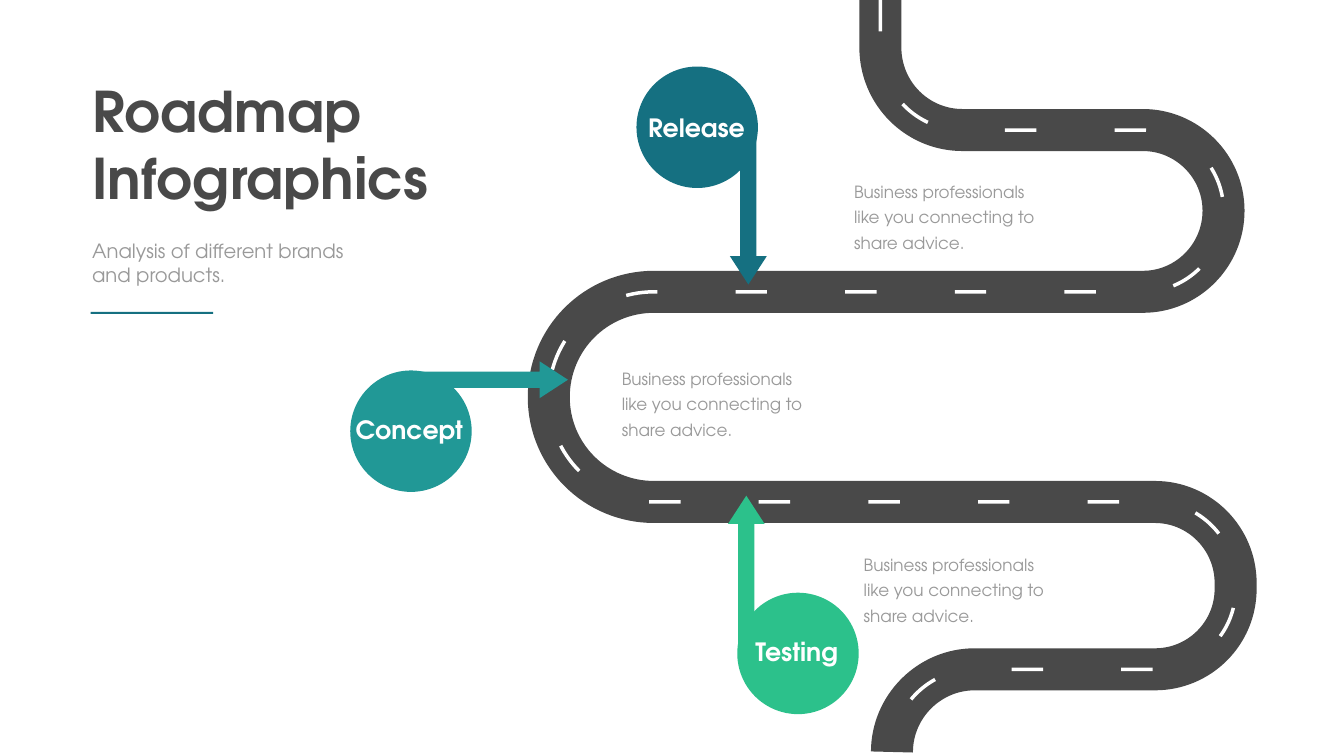
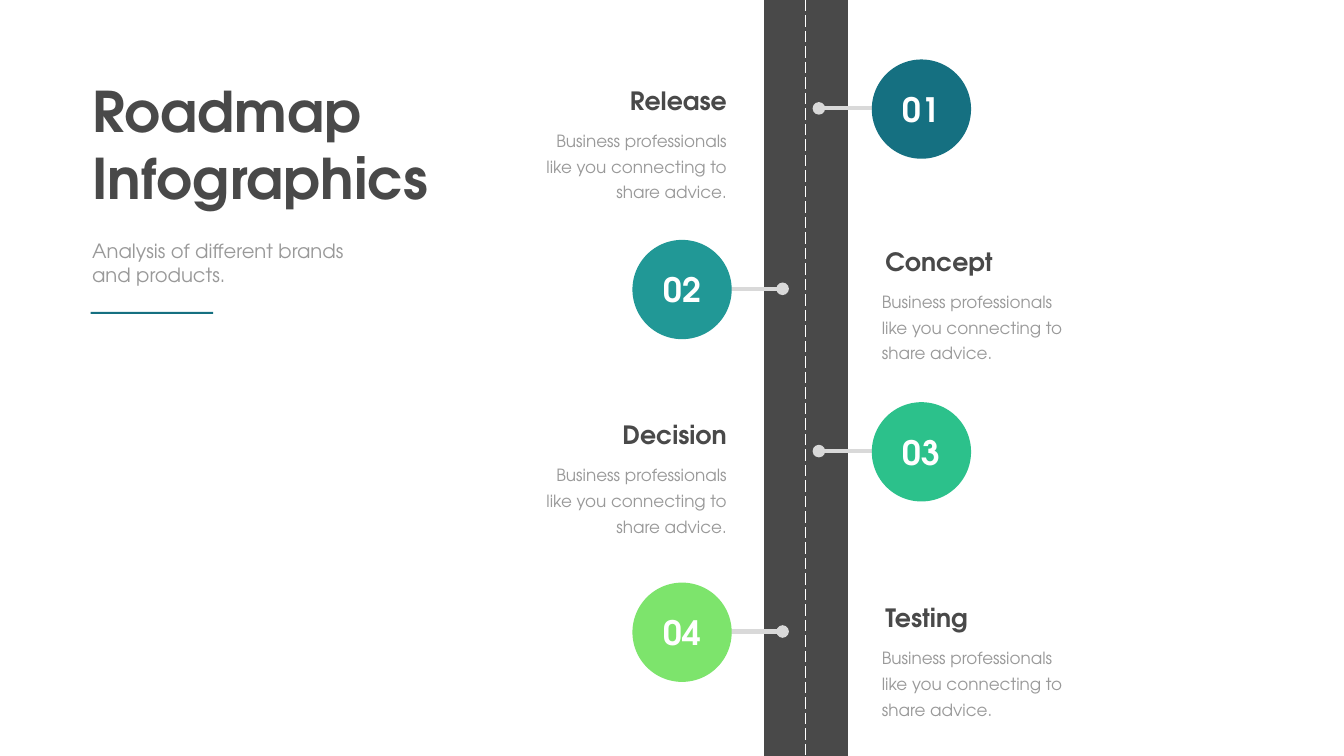
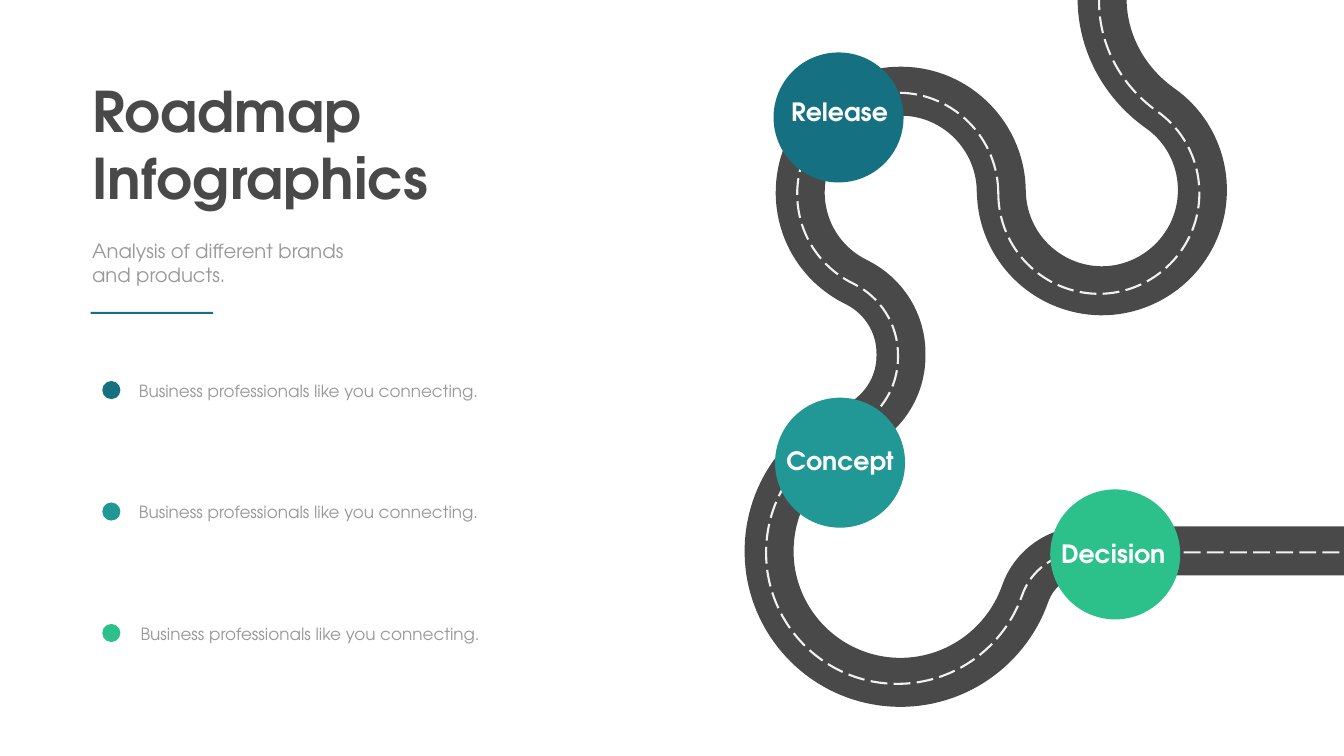
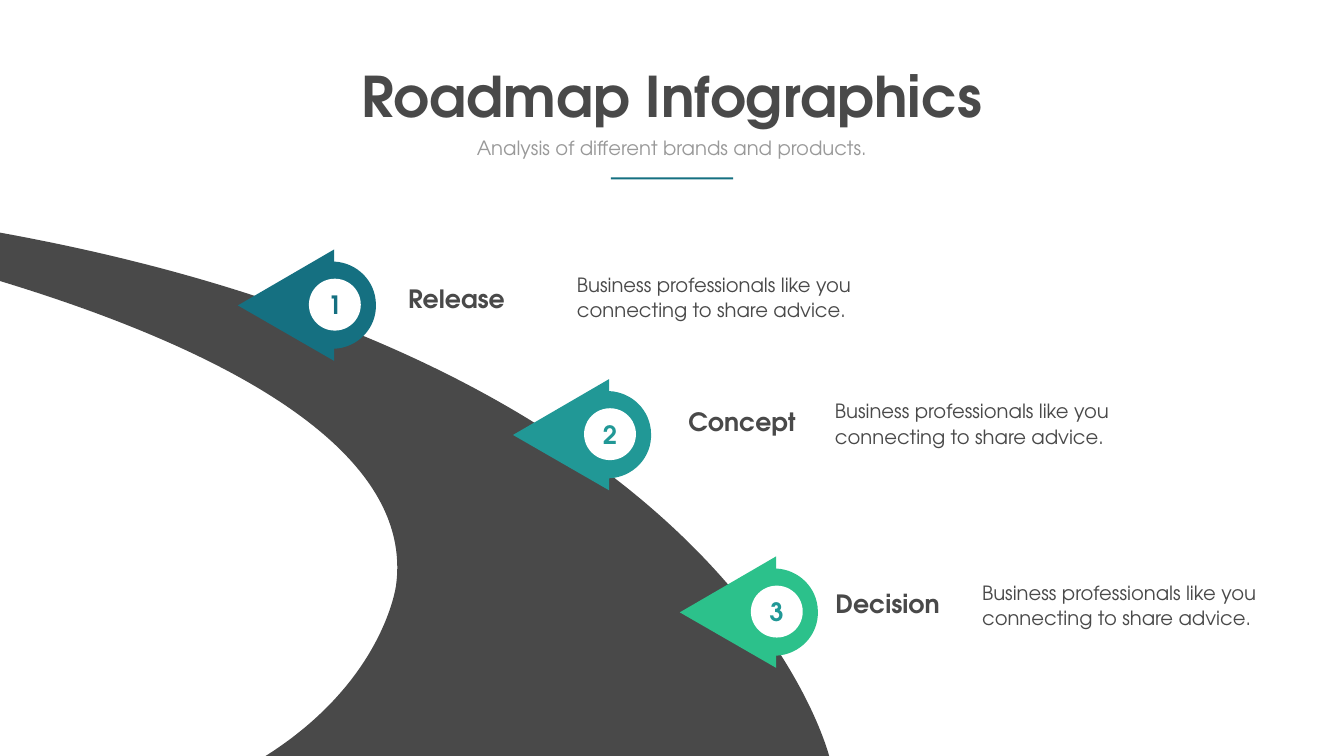
import lxml.etree
import pptx
import pptx.dml.color
import pptx.enum.dml
import pptx.enum.shapes
import pptx.enum.text
import pptx.oxml.ns
import pptx.util

Inches = pptx.util.Inches
Pt = pptx.util.Pt
qn = pptx.oxml.ns.qn
SHAPE = pptx.enum.shapes.MSO_SHAPE
ALIGN = pptx.enum.text.PP_ALIGN
LONG_DASH = pptx.enum.dml.MSO_LINE.LONG_DASH

FONT = "TeX Gyre Adventor"
COLORS = {
    "asphalt": "494949",
    "gray": "999999",
    "pale": "D9D9D9",
    "marking": "F2F2F2",
    "white": "FFFFFF",
    "blue": "157081",
    "teal": "219896",
    "green": "2CC18B",
    "lime": "7DE46C",
}
ADVICE = "Business professionals like you connecting to share advice."
SUBTITLE = "Analysis of different brands and products."

# Outlines: a start point, then lines (x, y) and cubic curves (two controls and an end).
SERPENTINE = [
    (17.47, 0), (17.47, 0.94), (17.47, 1.85, 18.2, 2.58, 19.1, 2.58),
    (22.68, 2.58), (23.56, 2.58, 24.28, 3.3, 24.28, 4.18),
    (24.28, 5.07, 23.56, 5.79, 22.68, 5.79),
    (12.98, 5.79), (11.82, 5.79, 10.89, 6.72, 10.89, 7.88),
    (10.89, 9.03, 11.82, 9.96, 12.98, 9.96),
    (22.92, 9.96), (23.8, 9.96, 24.52, 10.68, 24.52, 11.57),
    (24.52, 11.68), (24.52, 12.57, 23.8, 13.28, 22.92, 13.28),
    (19.34, 13.28), (18.44, 13.28, 17.7, 14.02, 17.7, 14.92),
]
UPPER_BEND = [
    (19.87, 3.77), (19.87, 4.87, 20.75, 5.75, 21.84, 5.77),
    (22.96, 5.78, 23.88, 4.86, 23.86, 3.74),
    (23.85, 3.08, 23.52, 2.49, 23.01, 2.14),
    (22.3, 1.63, 21.87, 0.83, 21.87, -0.03), (21.87, -0.07),
]
LOWER_BEND = [
    (19.87, 3.81), (19.87, 2.72, 18.99, 1.82, 17.9, 1.81),
    (16.78, 1.79, 15.87, 2.72, 15.88, 3.84),
    (15.89, 4.62, 16.34, 5.28, 17, 5.6),
    (17.54, 5.87, 17.88, 6.41, 17.88, 7.01), (17.88, 7.06),
    (17.88, 7.7, 17.49, 8.27, 16.9, 8.51),
    (15.83, 8.94, 15.11, 10.06, 15.29, 11.32),
    (15.46, 12.45, 16.35, 13.34, 17.48, 13.51),
    (18.78, 13.7, 19.94, 12.92, 20.34, 11.79),
    (20.52, 11.27, 21, 10.93, 21.55, 10.93), (26.68, 10.93),
]
HIGHWAY = [
    (16.47, 15.06), (16.47, 15.06, 14.18, 5.13, -6.36, 3.87),
    (-6.36, 4.11), (-6.36, 4.11, 8.56, 6.38, 7.86, 11.61),
    (7.86, 11.61, 7.63, 13.51, 5.27, 15),
]
# The marker's tip is its origin.
MARKER = [
    (0, 0), (1.91, -1.11), (1.91, -0.87),
    (2.36, -0.85, 2.73, -0.49, 2.74, -0.03),
    (2.76, 0.45, 2.38, 0.84, 1.91, 0.86), (1.91, 1.1),
]


def rgb(color):
    return pptx.dml.color.RGBColor.from_string(COLORS[color])


def paint(shape, fill=None, line=None, width=0):
    shape.shadow.inherit = False
    if fill:
        shape.fill.solid()
        shape.fill.fore_color.rgb = rgb(fill)
    else:
        shape.fill.background()
    if line:
        shape.line.color.rgb = rgb(line)
        shape.line.width = Pt(width)
    else:
        shape.line.fill.background()


def line_element(shape, tag, **attributes):
    """Append a drawing element to the shape's outline."""
    return lxml.etree.SubElement(shape.element.spPr.find(qn("a:ln")), qn(tag), attributes)


def write(shape, lines, size, color, bold=False, align=ALIGN.LEFT, spacing=None):
    frame = shape.text_frame
    for index, line in enumerate(lines):
        paragraph = frame.add_paragraph() if index else frame.paragraphs[0]
        paragraph.alignment = align
        if spacing:
            paragraph.line_spacing = Pt(spacing)
        run = paragraph.add_run()
        run.text = line
        run.font.name = FONT
        run.font.size = Pt(size)
        run.font.bold = bold
        run.font.color.rgb = rgb(color)


def add_text(slide, text, left, top, width, height, size, color, **style):
    box = slide.shapes.add_textbox(*map(Inches, (left, top, width, height)))
    box.text_frame.word_wrap = True
    box.text_frame.auto_size = pptx.enum.text.MSO_AUTO_SIZE.SHAPE_TO_FIT_TEXT
    write(box, [text], size, color, **style)


def add_label(slide, text, left, top, color="asphalt", align=ALIGN.LEFT):
    add_text(slide, text, left, top, 2.86, 0.71, 36, color, bold=True, align=align)


def add_advice(slide, left, top, align=ALIGN.LEFT):
    add_text(slide, ADVICE, left, top, 3.96, 1.6, 24, "gray", align=align, spacing=36.6)


def add_preset(slide, kind, left, top, width, height, fill):
    shape = slide.shapes.add_shape(kind, *map(Inches, (left, top, width, height)))
    paint(shape, fill)
    return shape


def add_circle(slide, left, top, diameter, fill):
    return add_preset(slide, SHAPE.OVAL, left, top, diameter, diameter, fill)


def add_number(slide, text, left, top, diameter, fill, size, color):
    circle = add_circle(slide, left, top, diameter, fill)
    frame = circle.text_frame
    frame.word_wrap = False
    frame.vertical_anchor = pptx.enum.text.MSO_ANCHOR.MIDDLE
    write(circle, [text], size, color, bold=True, align=ALIGN.CENTER)


def add_outline(slide, outline, shift=(0, 0), close=False):
    """Build a freeform through every point, then bend its curved segments."""
    points = [(Inches(x + shift[0]), Inches(y + shift[1]))
              for segment in outline for x, y in zip(segment[::2], segment[1::2])]
    builder = slide.shapes.build_freeform(*points[0])
    builder.add_line_segments(points[1:], close=close)
    shape = builder.convert_to_shape()
    geometry = shape.element.find(".//" + qn("a:path"))
    steps = iter(geometry.findall(qn("a:lnTo")))
    for segment in outline[1:]:
        parts = [next(steps) for _ in segment[::2]]
        if len(parts) == 3:
            curve = lxml.etree.SubElement(geometry, qn("a:cubicBezTo"))
            parts[0].addprevious(curve)
            for part in parts:
                curve.append(part[0])
                geometry.remove(part)
    return shape


def add_road(slide, outline, color, width, shift=(0, 0)):
    road = add_outline(slide, outline, shift)
    paint(road, line=color, width=width)
    return road


def add_line(slide, start, end, color, width):
    line = slide.shapes.add_connector(
        pptx.enum.shapes.MSO_CONNECTOR.STRAIGHT, *map(Inches, start + end))
    line.line.color.rgb = rgb(color)
    line.line.width = Pt(width)
    lxml.etree.SubElement(line.element.spPr, qn("a:effectLst"))
    return line


def add_slide(presentation, centered=False):
    """Add a slide with its title, subtitle and accent rule."""
    slide = presentation.slides.add_slide(presentation.slide_layouts[5])
    if centered:
        lines, align = ["Roadmap Infographics"], ALIGN.CENTER
        title_box, subtitle_box = (7, 1.17, 12.66, 1.45), (8.55, 2.65, 9.56, 0.57)
        rule_left, rule_top = 12.12, 3.52
    else:
        lines, align = ["Roadmap", "Infographics"], ALIGN.LEFT
        title_box, subtitle_box = (1.73, 1.47, 7.1, 2.79), (1.73, 4.7, 5.34, 1.04)
        rule_left, rule_top = 1.8, 6.19
    title = slide.shapes.title
    title.left, title.top, title.width, title.height = map(Inches, title_box)
    title.text_frame.word_wrap = not centered
    title.text_frame.auto_size = pptx.enum.text.MSO_AUTO_SIZE.SHAPE_TO_FIT_TEXT
    title.text_frame.vertical_anchor = pptx.enum.text.MSO_ANCHOR.TOP
    write(title, lines, 80, "asphalt", bold=True, align=align)
    for paragraph in title.text_frame.paragraphs:
        paragraph.space_before = Pt(0)
    add_text(slide, SUBTITLE, *subtitle_box, 28, "gray", align=align)
    add_preset(slide, SHAPE.RECTANGLE, rule_left, rule_top, 2.43, 0.04, "blue")
    return slide


def add_pin(slide, label, color, arrow_at, rotation, circle_at, label_at):
    arrow = add_preset(slide, SHAPE.RIGHT_ARROW, *arrow_at, 3.12, 0.73, color)
    arrow.rotation = rotation
    arrow.adjustments[0], arrow.adjustments[1] = 0.442, 0.769
    add_circle(slide, *circle_at, 2.41, color)
    add_label(slide, label, *label_at, "white", ALIGN.CENTER)


def build_serpentine(presentation):
    slide = add_slide(presentation)
    add_road(slide, SERPENTINE, "asphalt", 60)
    marking = add_road(slide, SERPENTINE, "white", 5)
    dashes = line_element(marking, "a:custDash")
    lxml.etree.SubElement(dashes, qn("a:ds"), d="900000", sp="2240000")
    for pin in (
        ("Release", "blue", (13.29, 3.72), 90, (12.63, 1.32), (12.39, 2.18)),
        ("Concept", "teal", (8.15, 7.17), 0, (6.95, 7.35), (6.69, 8.17)),
        ("Testing", "green", (13.25, 11.03), 270, (14.63, 11.76), (14.38, 12.57)),
    ):
        add_pin(slide, *pin)
    for left, top in ((16.85, 3.44), (17.04, 10.84), (12.24, 7.15)):
        add_advice(slide, left, top)


def build_straight_road(presentation):
    slide = add_slide(presentation)
    add_line(slide, (15.99, 0), (15.99, 15), "asphalt", 120)
    add_line(slide, (15.99, 0), (15.99, 15), "white", 2).line.dash_style = LONG_DASH
    stops = (
        ("Release", "blue", 1.18, 1.64),
        ("Concept", "teal", 4.76, 4.83),
        ("Decision", "green", 7.98, 8.27),
        ("Testing", "lime", 11.56, 11.9),
    )
    for number, (label, color, circle_top, label_top) in enumerate(stops, 1):
        if number % 2:
            circle_left, line_start, line_end = 17.3, 17.7, 16.25
            label_left, advice_left, align = 11.66, 10.56, ALIGN.RIGHT
        else:
            circle_left, line_start, line_end = 12.55, 13.54, 15.53
            label_left, advice_left, align = 17.47, 17.4, ALIGN.LEFT
        middle = circle_top + 0.97
        line = add_line(slide, (line_start, middle), (line_end, middle), "pale", 6)
        line_element(line, "a:tailEnd", type="oval")
        add_number(slide, f"{number:02}", circle_left, circle_top, 1.97, color, 48, "white")
        add_label(slide, label, label_left, label_top, align=align)
        add_advice(slide, advice_left, label_top + 0.8, align)


def build_winding_road(presentation):
    slide = add_slide(presentation)
    for bend in (UPPER_BEND, LOWER_BEND):
        add_road(slide, bend, "asphalt", 70)
    for bend, shift in ((UPPER_BEND, (-0.06, 0.06)), (LOWER_BEND, (-0.06, 0.03))):
        add_road(slide, bend, "marking", 3, shift).line.dash_style = LONG_DASH
    stops = (
        ("Release", "blue", (15.35, 1.04), (15.23, 1.87), 2.66),
        ("Concept", "teal", (15.38, 7.89), (15.24, 8.79), 2.66),
        ("Decision", "green", (20.84, 9.71), (20.66, 10.64), 2.69),
    )
    for row, (label, color, circle_at, label_at, note_left) in enumerate(stops):
        add_circle(slide, *circle_at, 2.58, color)
        add_label(slide, label, *label_at, "white", ALIGN.CENTER)
        drop = 2.41 * row
        add_circle(slide, 2.03, 7.56 + drop, 0.36, color)
        add_text(slide, "Business professionals like you connecting.",
                 note_left, 7.36 + drop, 8.72, 0.59, 24, "gray", spacing=38.6)


def build_highway(presentation):
    slide = add_slide(presentation, centered=True)
    paint(add_outline(slide, HIGHWAY, close=True), "asphalt")
    stops = (
        ("Release", "blue", "blue", (4.72, 6.06), (8, 5.58), (11.35, 5.32)),
        ("Concept", "teal", "teal", (10.18, 8.63), (13.56, 8.02), (16.47, 7.83)),
        ("Decision", "green", "teal", (13.49, 12.15), (16.48, 11.62), (19.39, 11.43)),
    )
    for number, stop in enumerate(stops, 1):
        label, color, number_color, tip, label_at, advice_at = stop
        paint(add_outline(slide, MARKER, tip, close=True), color)
        add_number(slide, str(number), tip[0] + 1.41, tip[1] - 0.53, 1.03,
                   "white", 36, number_color)
        add_label(slide, label, *label_at)
        add_text(slide, ADVICE, *advice_at, 6.98, 1.1, 28, "asphalt", spacing=36.6)


def main():
    presentation = pptx.Presentation()
    presentation.slide_width = Inches(26.67)
    presentation.slide_height = Inches(15)
    build_serpentine(presentation)
    build_straight_road(presentation)
    build_winding_road(presentation)
    build_highway(presentation)
    presentation.save("out.pptx")


if __name__ == "__main__":
    main()
